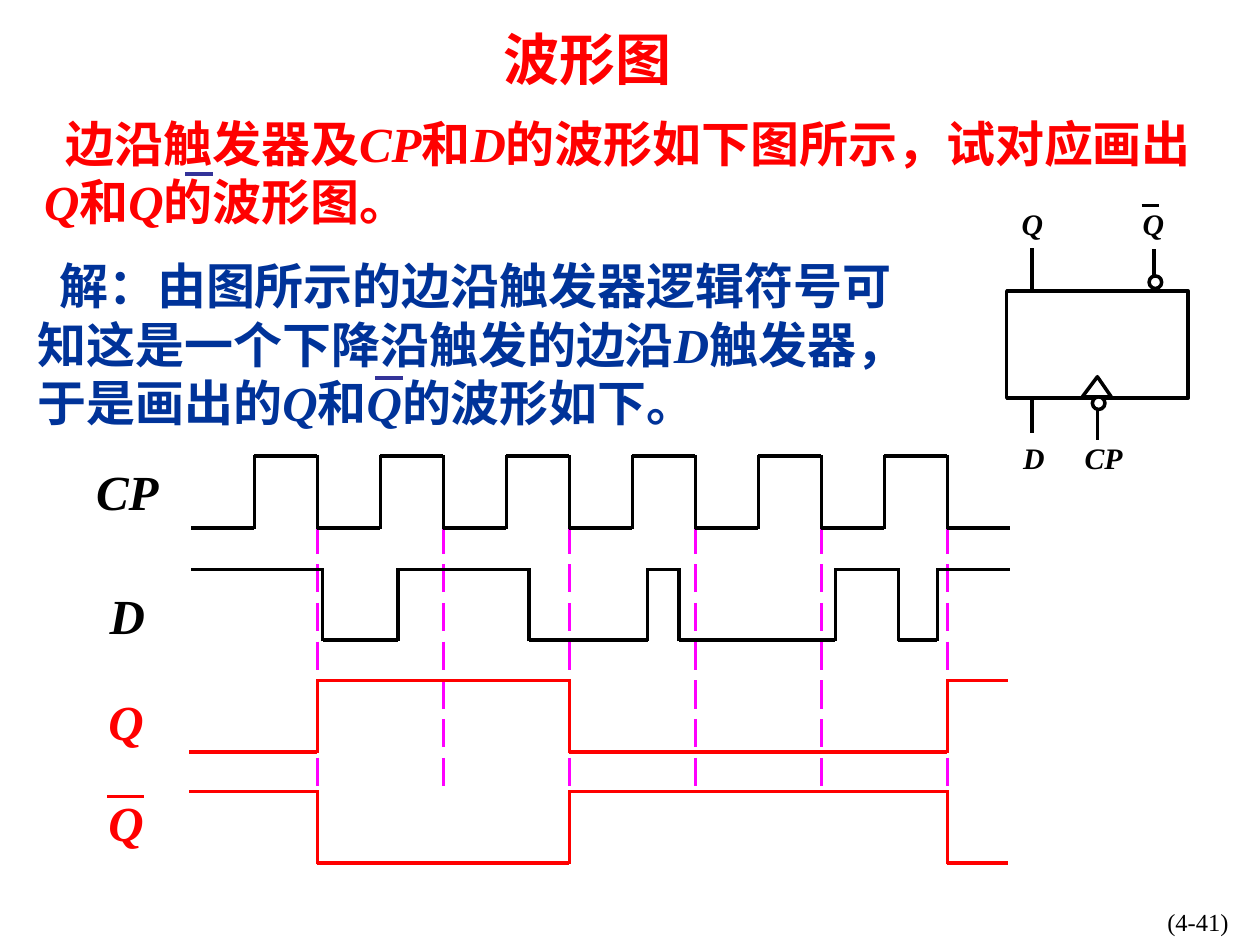
from dataclasses import dataclass
from itertools import groupby, pairwise

from pptx import Presentation
from pptx import util as u
from pptx.dml.color import RGBColor
from pptx.enum import dml, shapes, text
from pptx.oxml.ns import qn

BLACK = RGBColor(0x00, 0x00, 0x00)
WHITE = RGBColor(0xFF, 0xFF, 0xFF)
RED = RGBColor(0xFF, 0x00, 0x00)
BLUE = RGBColor(0x00, 0x33, 0x99)
INDIGO = RGBColor(0x33, 0x33, 0x99)
MAGENTA = RGBColor(0xFF, 0x00, 0xFF)

LATIN_FONT = "Times New Roman"
CHINESE_FONT = "Noto Sans CJK SC"


@dataclass(frozen=True)
class Box:
    left: float
    top: float
    width: float
    height: float

    def inches(self) -> tuple:
        return tuple(map(u.Inches, (self.left, self.top, self.width, self.height)))


@dataclass(frozen=True)
class Line:
    x1: float
    y1: float
    x2: float
    y2: float
    color: RGBColor = BLACK
    width: float = 2
    dash: dml.MSO_LINE | None = None


@dataclass(frozen=True)
class Label:
    text: str
    box: Box
    size: float
    color: RGBColor = BLACK


@dataclass(frozen=True)
class Waveform:
    """A two-level signal that toggles at each edge."""
    start: float
    end: float
    high: float
    low: float
    edges: tuple[float, ...]
    starts_high: bool
    color: RGBColor = BLACK


CLOCK_FALLS = [2.52 + cycle for cycle in range(6)]
Q_EDGES = (2.52, 4.52, 7.52)

WAVEFORMS = [
    Waveform(1.52, 8.02, 3.62, 4.19, tuple(2.02 + 0.5 * i for i in range(12)), False),
    Waveform(1.52, 8.02, 4.52, 5.08,
             (2.56, 3.16, 4.2, 5.14, 5.39, 6.63, 7.13, 7.44), True),
    Waveform(1.5, 8, 5.4, 5.97, Q_EDGES, False, RED),
    Waveform(1.5, 8, 6.28, 6.85, Q_EDGES, True, RED),
]

LABELS = [
    Label("CP", Box(0.72, 3.66, 0.58, 0.47), 28),
    Label("D", Box(0.72, 4.65, 0.58, 0.47), 28),
    Label("Q", Box(0.71, 5.49, 0.58, 0.47), 28, RED),
    Label("Q", Box(0.71, 6.29, 0.58, 0.47), 28, RED),
    Label("Q", Box(8.08, 1.63, 0.23, 0.28), 17),
    Label("Q", Box(9.04, 1.63, 0.23, 0.28), 17),
    Label("CP", Box(8.56, 3.49, 0.4, 0.28), 17),
    Label("D", Box(8.09, 3.49, 0.23, 0.28), 17),
]

PINS = [
    Line(9.16, 1.98, 9.16, 3.06),
    Line(8.71, 2.88, 8.71, 3.49),
    Line(8.19, 1.97, 8.19, 3.44),
]

OVERBARS = [
    Line(0.85, 6.32, 1.14, 6.32, RED),
    Line(9.06, 1.63, 9.2, 1.63, BLACK, 1.4),
    Line(1.47, 1.38, 1.69, 1.38, INDIGO),
    Line(2.98, 3, 3.2, 3, INDIGO),
]

PROBLEM = "边沿触发器及CP和D的波形如下图所示，试对应画出Q和Q的波形图。"
SOLUTION = ("解：由图所示的边沿触发器逻辑符号可知这是一个下降沿触发的边沿D触发器，"
            "于是画出的Q和Q的波形如下。")


def draw_line(slide, line: Line) -> None:
    connector = slide.shapes.add_connector(
        shapes.MSO_CONNECTOR.STRAIGHT,
        *map(u.Inches, (line.x1, line.y1, line.x2, line.y2)))
    connector.line.color.rgb = line.color
    connector.line.width = u.Pt(line.width)
    if line.dash is not None:
        connector.line.dash_style = line.dash
    properties = connector._element.spPr
    properties.append(properties.makeelement(qn("a:effectLst"), {}))


def draw_waveform(slide, wave: Waveform) -> None:
    is_high = wave.starts_high
    for left, right in pairwise((wave.start, *wave.edges, wave.end)):
        level = wave.high if is_high else wave.low
        draw_line(slide, Line(left, level, right, level, wave.color))
        is_high = not is_high
    for edge in wave.edges:
        draw_line(slide, Line(edge, wave.low + 0.01, edge, wave.high - 0.01, wave.color))


def style_outline(shape) -> None:
    shape.shadow.inherit = False
    shape.fill.solid()
    shape.fill.fore_color.rgb = WHITE
    shape.line.color.rgb = BLACK
    shape.line.width = u.Pt(2)


def draw_preset(slide, kind: shapes.MSO_SHAPE, box: Box) -> None:
    style_outline(slide.shapes.add_shape(kind, *box.inches()))


def draw_symbol(slide) -> None:
    """Draw the flip-flop body with its inverting bubbles and clock wedge."""
    for pin in PINS:
        draw_line(slide, pin)
    draw_preset(slide, shapes.MSO_SHAPE.RECTANGLE, Box(7.99, 2.31, 1.44, 0.85))
    draw_preset(slide, shapes.MSO_SHAPE.OVAL, Box(9.12, 2.19, 0.1, 0.1))
    wedge = slide.shapes.build_freeform(u.Inches(8.71), u.Inches(2.99), scale=1.0)
    wedge.add_line_segments(
        [(u.Inches(x), u.Inches(3.15)) for x in (8.59, 8.82)], close=True)
    style_outline(wedge.convert_to_shape())
    draw_preset(slide, shapes.MSO_SHAPE.OVAL, Box(8.67, 3.15, 0.1, 0.1))


def set_font(font, size: float, color: RGBColor, bold: bool = True) -> None:
    font.name = LATIN_FONT
    font.size = u.Pt(size)
    font.bold = bold
    font.color.rgb = color


def draw_label(slide, label: Label) -> None:
    frame = slide.shapes.add_textbox(*label.box.inches()).text_frame
    frame.margin_left = frame.margin_right = frame.margin_top = frame.margin_bottom = 0
    frame.word_wrap = True
    paragraph = frame.paragraphs[0]
    paragraph.text = label.text
    paragraph.alignment = text.PP_ALIGN.CENTER
    set_font(paragraph.font, label.size, label.color)
    paragraph.font.italic = True


def place_frame(placeholder, box: Box):
    placeholder.left, placeholder.top, placeholder.width, placeholder.height = box.inches()
    frame = placeholder.text_frame
    frame.auto_size = text.MSO_AUTO_SIZE.NONE
    frame.vertical_anchor = text.MSO_ANCHOR.TOP
    return frame


def add_chinese_run(paragraph, words: str) -> None:
    run = paragraph.add_run()
    run.text = words
    run.font.name = CHINESE_FONT
    properties = run.font._element
    properties.append(properties.makeelement(qn("a:ea"), {"typeface": CHINESE_FONT}))


def fill_body(placeholder, box: Box, words: str, color: RGBColor) -> None:
    """Set Chinese upright and signal names in italics."""
    paragraph = place_frame(placeholder, box).paragraphs[0]
    properties = paragraph._p.get_or_add_pPr()
    properties.set("marL", "0")
    properties.set("indent", str(u.Inches(0.17)))
    properties.append(properties.makeelement(qn("a:buNone"), {}))
    paragraph.space_before = u.Pt(0)
    paragraph.line_spacing = u.Pt(33.5)
    set_font(paragraph.font, 28, color)
    for is_signal, letters in groupby(words, str.isascii):
        if is_signal:
            run = paragraph.add_run()
            run.text = "".join(letters)
            run.font.italic = True
        else:
            add_chinese_run(paragraph, "".join(letters))


def main() -> None:
    presentation = Presentation()
    presentation.slide_width, presentation.slide_height = u.Inches(10), u.Inches(7.5)
    slide = presentation.slides.add_slide(presentation.slide_layouts[3])
    title, problem, solution = slide.placeholders

    paragraph = place_frame(title, Box(2.52, 0.15, 4.28, 0.64)).paragraphs[0]
    paragraph.alignment = text.PP_ALIGN.CENTER
    paragraph.line_spacing = u.Pt(38)
    set_font(paragraph.font, 32, RED)
    add_chinese_run(paragraph, "波形图")
    fill_body(problem, Box(0.25, 0.85, 9.48, 1.04), PROBLEM, RED)
    fill_body(solution, Box(0.2, 1.98, 7.35, 1.5), SOLUTION, BLUE)

    for x in CLOCK_FALLS:
        draw_line(slide, Line(x, 4.17, x, 6.28, MAGENTA, dash=dml.MSO_LINE.LONG_DASH))
    for wave in WAVEFORMS:
        draw_waveform(slide, wave)
    draw_symbol(slide)
    for label in LABELS:
        draw_label(slide, label)
    for bar in OVERBARS:
        draw_line(slide, bar)

    number = slide.shapes.add_textbox(*Box(7.77, 7.15, 2.08, 0.5).inches()).text_frame
    number.word_wrap = True
    paragraph = number.paragraphs[0]
    paragraph.text = "(4-41)"
    paragraph.alignment = text.PP_ALIGN.RIGHT
    set_font(paragraph.font, 14, BLACK, bold=False)
    presentation.save("out.pptx")


if __name__ == "__main__":
    main()
